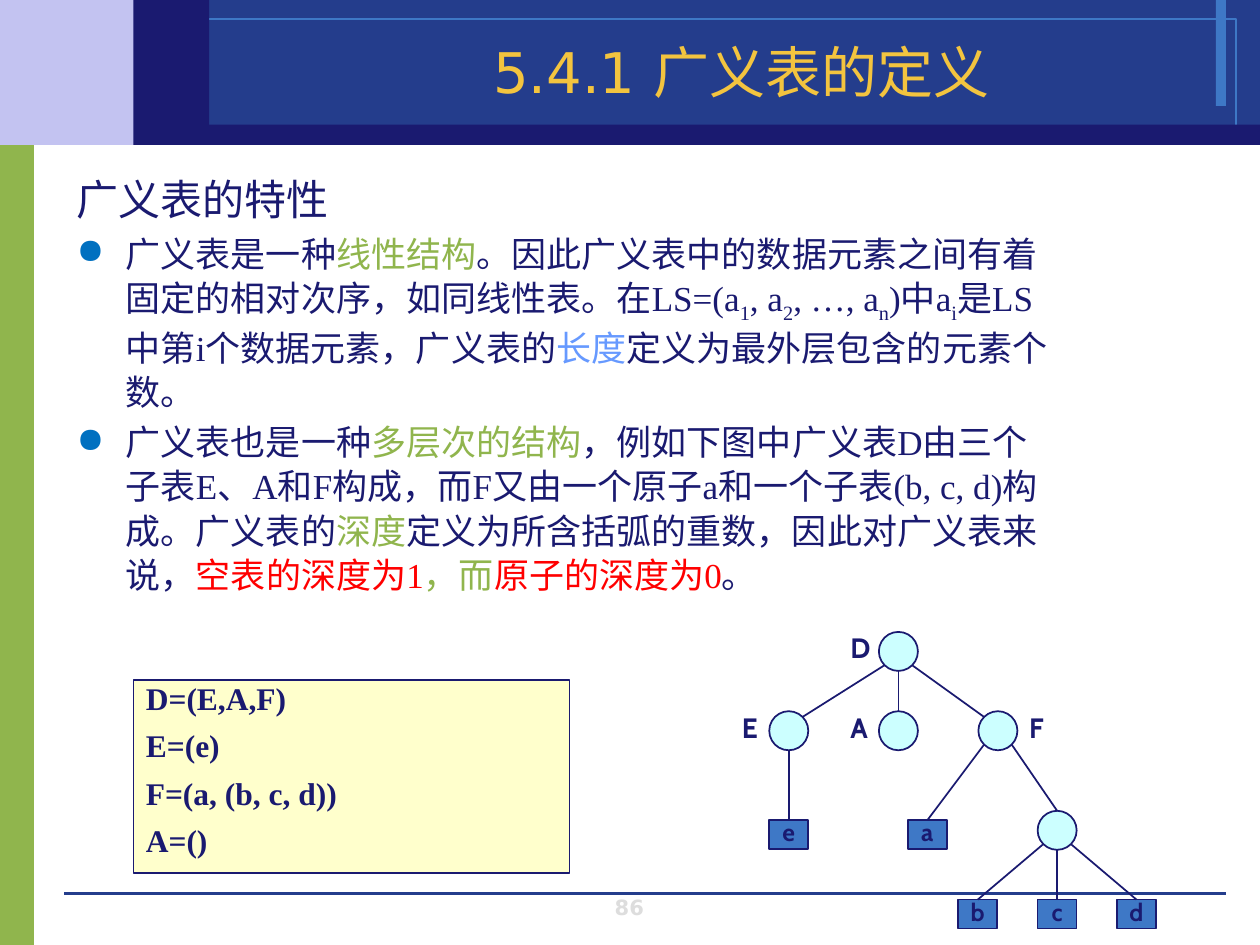
from math import sqrt

from lxml import etree
from pptx import Presentation
from pptx import util as u
from pptx.dml.color import RGBColor
from pptx.enum import shapes, text
from pptx.oxml import ns

NAVY = RGBColor(0x1A, 0x1A, 0x70)
ROYAL = RGBColor(0x24, 0x3D, 0x8C)
BLUE = RGBColor(0x3E, 0x78, 0xC6)
LILAC = RGBColor(0xC3, 0xC3, 0xF1)
GREEN = RGBColor(0x90, 0xB5, 0x4D)
GOLD = RGBColor(0xF3, 0xC4, 0x3F)
GRAY = RGBColor(0xDD, 0xDD, 0xDD)
SKY = RGBColor(0x66, 0x99, 0xFF)
RED = RGBColor(0xFF, 0, 0)
AQUA = RGBColor(0xCC, 0xFF, 0xFF)
CREAM = RGBColor(0xFF, 0xFF, 0xCC)
DOT = RGBColor(0, 0x70, 0xC0)

SANS, SERIF, LABEL = "DejaVu Sans", "Times New Roman", "Cabin"
RECT, OVAL = shapes.MSO_SHAPE.RECTANGLE, shapes.MSO_SHAPE.OVAL
LEFT, MID = text.PP_ALIGN.LEFT, text.PP_ALIGN.CENTER
TOP, CENTER, BASE = (text.MSO_ANCHOR.TOP, text.MSO_ANCHOR.MIDDLE,
                     text.MSO_ANCHOR.BOTTOM)


class Deck:
    def __init__(self):
        self.prs = Presentation()
        self.prs.slide_width = u.Inches(10)
        self.prs.slide_height = u.Inches(7.5)
        self.slide = self.prs.slides.add_slide(self.prs.slide_layouts[6])

    def shape(self, kind, box, fill=None, line=None, width=1):
        item = self.slide.shapes.add_shape(kind, *map(u.Inches, box))
        item.shadow.inherit = False
        if fill is None:
            item.fill.background()
        else:
            item.fill.solid()
            item.fill.fore_color.rgb = fill
        if line is None:
            item.line.fill.background()
        else:
            item.line.color.rgb = line
            item.line.width = u.Pt(width)
        return item

    def line(self, start, end, color=NAVY, width=1):
        item = self.slide.shapes.add_connector(
            shapes.MSO_CONNECTOR.STRAIGHT, *map(u.Inches, start + end))
        item.line.color.rgb = color
        item.line.width = u.Pt(width)
        etree.SubElement(item._element.spPr, ns.qn("a:effectLst"))
        return item

    def box(self, box, wrap=True, anchor=TOP):
        item = self.slide.shapes.add_textbox(*map(u.Inches, box))
        self.frame(item, wrap, anchor)
        return item

    def frame(self, item, wrap=True, anchor=TOP):
        item.text_frame.word_wrap = wrap
        item.text_frame.vertical_anchor = anchor

    def label(self, item, paras, size, font, color=NAVY, bold=False,
              align=LEFT, lead=1.0, gap=0):
        """Fill a shape with one paragraph per string."""
        for i, words in enumerate(paras):
            para = self.para(item, i)
            para.text = words
            self.style(para, size, font, color, bold, align, lead,
                       gap if i else 0)

    def para(self, item, i):
        frame = item.text_frame
        return frame.add_paragraph() if i else frame.paragraphs[0]

    def style(self, para, size, font, color, bold, align, lead, gap):
        para.alignment = align
        para.line_spacing = lead
        para.space_before = u.Pt(gap)
        para.font.size = u.Pt(size)
        para.font.name = font
        para.font.bold = bold
        if color is not None:
            para.font.color.rgb = color

    def bullet(self, para):
        props = para._p.get_or_add_pPr()
        props.set("marL", str(u.Inches(0.39)))
        props.set("indent", str(u.Inches(-0.39)))
        tint = etree.SubElement(props, ns.qn("a:buClr"))
        etree.SubElement(tint, ns.qn("a:srgbClr")).set("val", str(DOT))
        etree.SubElement(props, ns.qn("a:buChar")).set("char", "●")

    def rich(self, item, i, runs):
        """Add a bulleted paragraph; a run is (words, colour or "sub")."""
        para = self.para(item, i)
        self.bullet(para)
        self.style(para, 20, SERIF, None, False, LEFT, 1.05, 3.5)
        for words, look in runs:
            run = para.add_run()
            run.text = words
            run.font.color.rgb = NAVY if look == "sub" else look
            if look == "sub":
                run._r.get_or_add_rPr().set("baseline", "-25000")


POINTS = [
    [("广义表是一种", NAVY), ("线性结构", GREEN),
     ("。因此广义表中的数据元素之间有着固定的相对次序，如同线性表。在LS=(a", NAVY),
     ("1", "sub"), (", a", NAVY), ("2", "sub"), (", …, a", NAVY),
     ("n", "sub"), (")中a", NAVY), ("i", "sub"),
     ("是LS中第i个数据元素，广义表的", NAVY), ("长度", SKY),
     ("定义为最外层包含的元素个数。", NAVY)],
    [("广义表也是一种", NAVY), ("多层次的结构", GREEN),
     ("，例如下图中广义表D由三个子表E、A和F构成，而F又由一个原子a和一个子表"
      "(b, c, d)构成。广义表的", NAVY),
     ("深度", GREEN), ("定义为所含括弧的重数，因此对广义表来说，", NAVY),
     ("空表的深度为1", RED), ("，而", GREEN), ("原子的深度为0", RED),
     ("。", NAVY)],
]

# Tree: list nodes by centre, atoms by top middle
NODES = {"D": (7.13, 5.17), "E": (6.26, 5.8), "A": (7.13, 5.8),
         "F": (7.92, 5.8), "sub": (8.39, 6.59)}
ATOMS = {"b": (7.76, 7.14), "c": (8.39, 7.14), "d": (9.02, 7.14),
         "a": (7.36, 6.51), "e": (6.26, 6.51)}
TAGS = {"E": (5.79, 5.64), "A": (6.65, 5.64), "D": (6.65, 5.01),
        "F": (8.07, 5.64)}
EDGES = [("D", "A"), ("D", "E"), ("D", "F"), ("E", "e"), ("F", "a"),
         ("F", "sub"), ("sub", "b"), ("sub", "c"), ("sub", "d")]
SIZE, HIGH = 0.31, 0.23


def rim(node, side, down):
    """Point on a node's circle: side -1, 0, 1 and down -1 or 1."""
    x, y = NODES[node]
    reach = SIZE / 2 / (sqrt(2) if side else 1)
    return x + side * reach, y + down * reach


def tree(deck):
    for x, y in NODES.values():
        deck.shape(OVAL, (x - SIZE / 2, y - SIZE / 2, SIZE, SIZE), AQUA, NAVY)
    leaves = {}
    for name, (x, y) in ATOMS.items():
        leaf = deck.shape(RECT, (x - SIZE / 2, y, SIZE, HIGH), BLUE, NAVY)
        deck.frame(leaf, False, CENTER)
        deck.label(leaf, [name], 14, LABEL, bold=True, align=MID, lead=0.8)
        leaves[name] = leaf
    for head, tail in EDGES:
        x = (ATOMS.get(tail) or NODES[tail])[0]
        side = (x > NODES[head][0]) - (x < NODES[head][0])
        start = rim(head, side, 1)
        if tail in leaves:
            deck.line(start, ATOMS[tail]).end_connect(leaves[tail], 0)
        else:
            deck.line(start, rim(tail, 0 if tail == "sub" else -side, -1))
    for name, spot in TAGS.items():
        deck.label(deck.box(spot + (0.39, 0.31)), [name], 16, LABEL,
                   bold=True, lead=0.8)


def main():
    deck = Deck()

    # Banner and side bars
    deck.shape(RECT, (0, 1.07, 0.27, 6.43), GREEN)
    deck.shape(RECT, (0, 0, 1.53, 1.15), LILAC)
    deck.shape(RECT, (1.53, 0, 8.47, 1.15), ROYAL)
    deck.shape(RECT, (9.65, 0, 0.08, 0.84), BLUE)
    deck.shape(RECT, (1.19, 0.15, 8.62, 0.85), line=BLUE, width=0)
    deck.line((0.51, 7.09), (9.73, 7.09), ROYAL, 0)
    deck.shape(RECT, (1.3, 0.99, 8.7, 0.16), NAVY)
    deck.shape(RECT, (1.06, 0, 0.6, 1.15), NAVY)

    # Page number and title
    page = deck.box((3.83, 7.05, 2.33, 0.25), anchor=BASE)
    page.text_frame.margin_top = page.text_frame.margin_bottom = 0
    deck.label(page, ["86"], 12, SANS, GRAY, True, MID)
    title = deck.box((1.77, 0.26, 8.23, 0.62), anchor=BASE)
    deck.label(title, ["5.4.1 广义表的定义"], 32, SANS, GOLD, align=MID)

    # Body
    body = deck.box((0.51, 1.31, 7.99, 2.67))
    deck.label(body, ["广义表的特性"], 24, SERIF, lead=1.05)
    for i, runs in enumerate(POINTS, 1):
        deck.rich(body, i, runs)

    # Tree and list definitions
    tree(deck)
    defs = deck.shape(RECT, (1.06, 5.4, 3.46, 1.53), CREAM, NAVY)
    deck.frame(defs)
    deck.label(defs, ["D=(E,A,F)", "E=(e)", "F=(a, (b, c, d))", "A=()"],
               18, SERIF, bold=True, lead=0.8, gap=9.7)

    deck.prs.save("out.pptx")


if __name__ == "__main__":
    main()
